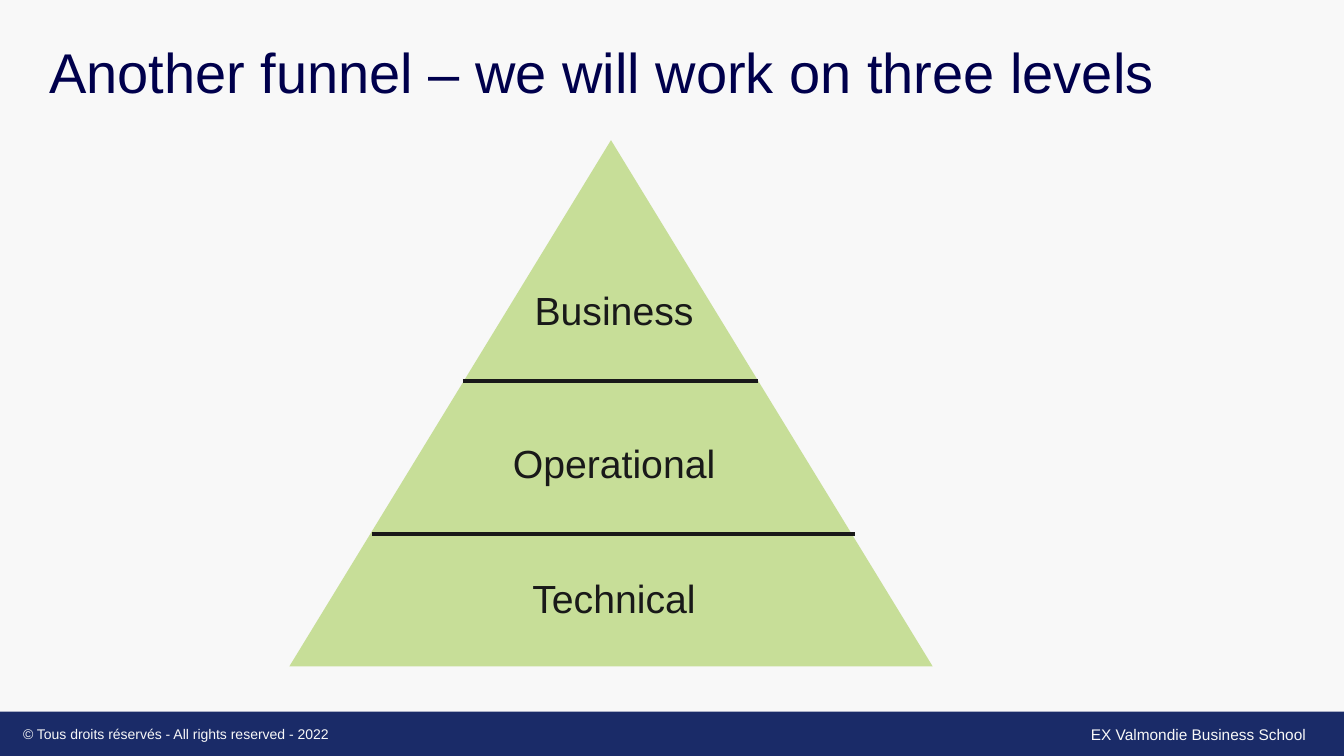
from pptx import Presentation
from pptx.dml.color import RGBColor
from pptx.enum.shapes import MSO_CONNECTOR, MSO_SHAPE
from pptx.enum.text import MSO_ANCHOR, PP_ALIGN
from pptx.oxml.ns import qn
from pptx.util import Inches, Pt
from lxml import etree

STRAIGHT = MSO_CONNECTOR.STRAIGHT
RECTANGLE = MSO_SHAPE.RECTANGLE
TRIANGLE = MSO_SHAPE.ISOSCELES_TRIANGLE
MIDDLE = MSO_ANCHOR.MIDDLE
LEFT, CENTER = PP_ALIGN.LEFT, PP_ALIGN.CENTER

COLORS = {
    "paper": "F8F8F8",
    "footer": "1A2B68",
    "title": "00004C",
    "pyramid": "C7DE98",
    "ink": "191919",
}

deck = Presentation()
deck.slide_width = Inches(13.33)
deck.slide_height = Inches(7.5)
slide = deck.slides.add_slide(deck.slide_layouts[6])
slide.background.fill.solid()
slide.background.fill.fore_color.rgb = RGBColor.from_string(COLORS["paper"])


def add_block(outline, box, color):
    block = slide.shapes.add_shape(outline, *map(Inches, box))
    block.shadow.inherit = False
    block.fill.solid()
    block.fill.fore_color.rgb = RGBColor.from_string(COLORS[color])
    block.line.fill.background()


def add_label(wording, box, size, color, align=LEFT):
    frame = slide.shapes.add_textbox(*map(Inches, box)).text_frame
    frame.word_wrap = True
    frame.vertical_anchor = MIDDLE
    paragraph = frame.paragraphs[0]
    paragraph.alignment = align
    run = paragraph.add_run()
    run.text = wording
    run.font.color.rgb = RGBColor.from_string(COLORS[color])
    for attribute, value in {"name": "Arial", "size": Pt(size)}.items():
        setattr(run.font, attribute, value)
    return paragraph


add_block(RECTANGLE, (0, 7.06, 13.33, 0.44), "footer")
add_label("EX Valmondie Business School", (10.72, 7.14, 2.45, 0.29), 11, "paper")
add_label("© Tous droits réservés - All rights reserved - 2022",
          (0.13, 7.15, 4.45, 0.27), 10, "paper")

title = add_label("Another funnel – we will work on three levels",
                  (0.39, 0.05, 11.33, 1.39), 40, "title")
title.line_spacing = 0.9

add_block(TRIANGLE, (2.87, 1.39, 6.38, 5.22), "pyramid")

for start, end, height in [(4.59, 7.52, 3.78), (3.69, 8.48, 5.3)]:
    divider = slide.shapes.add_connector(
        STRAIGHT, Inches(start), Inches(height), Inches(end), Inches(height))
    divider.line.color.rgb = RGBColor.from_string(COLORS["ink"])
    divider.line.width = Pt(3)
    etree.SubElement(divider.element.spPr, qn("a:effectLst"))

for level, top in [("Technical", 5.65), ("Operational", 4.31), ("Business", 2.79)]:
    add_label(level, (4.97, top, 2.24, 0.57), 28, "ink", CENTER)

deck.save("out.pptx")
